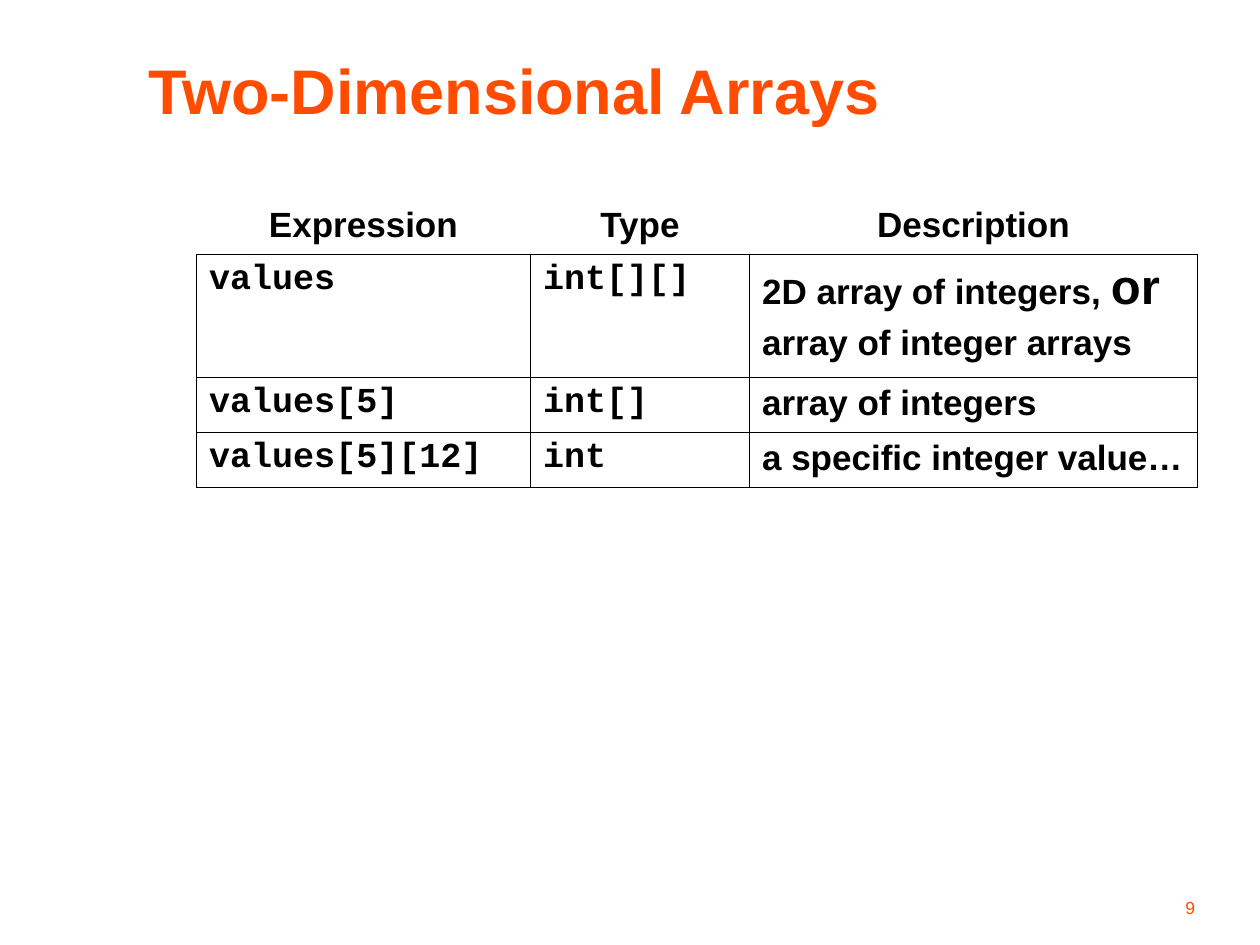
"""Build the slide on two-dimensional array expressions and their types."""
from dataclasses import dataclass

from lxml import etree
from pptx import Presentation
from pptx import util as u
from pptx.dml.color import RGBColor
from pptx.enum import text
from pptx.oxml import ns

ORANGE = RGBColor(0xFF, 0x4C, 0x00)
BLACK = RGBColor(0x00, 0x00, 0x00)
SANS = "Arial"
MONO = "Courier New"
BORDER_WIDTH = 0.45
COLUMN_WIDTHS = (190.8, 125.2, 256)
ROW_HEIGHTS = (31.5, 70.2, 31.5, 31.5)


@dataclass(frozen=True)
class Label:
    """A text box with its place in points and its type style."""
    words: str
    left: float
    top: float
    width: float
    height: float
    size: float
    bold: bool
    align: text.PP_ALIGN
    anchor: text.MSO_ANCHOR


@dataclass(frozen=True)
class ArrayExpression:
    """One table row; each description line is a tuple of (words, size) runs."""
    expression: str
    type_name: str
    description: tuple


LABELS = (
    Label("Two-Dimensional Arrays", 77.8, 23.8, 624.2, 54, 36, True,
          text.PP_ALIGN.LEFT, text.MSO_ANCHOR.MIDDLE),
    Label("9", 540, 498, 150, 30, 10, False,
          text.PP_ALIGN.RIGHT, text.MSO_ANCHOR.BOTTOM),
)
HEADINGS = ("Expression", "Type", "Description")
EXPRESSIONS = (
    ArrayExpression("values", "int[][]", (
        (("2D array of integers, ", 20), ("or", 28)),
        (("array of integer arrays", 20),),
    )),
    ArrayExpression("values[5]", "int[]", ((("array of integers", 20),),)),
    ArrayExpression("values[5][12]", "int", ((("a specific integer value…", 20),),)),
)


def add_label(slide, label: Label) -> None:
    """Draw one orange text box."""
    box = slide.shapes.add_textbox(u.Pt(label.left), u.Pt(label.top),
                                   u.Pt(label.width), u.Pt(label.height))
    frame = box.text_frame
    frame.word_wrap = True
    frame.vertical_anchor = label.anchor
    paragraph = frame.paragraphs[0]
    paragraph.text = label.words
    paragraph.alignment = label.align
    font = paragraph.font
    font.name, font.size, font.bold = SANS, u.Pt(label.size), label.bold
    font.color.rgb = ORANGE


def set_borders(cell, visible_sides: str) -> None:
    """Draw the named sides (from L, R, T, B) and hide the others."""
    properties = cell._tc.get_or_add_tcPr()
    for position, side in enumerate("LRTB"):
        line = etree.Element(ns.qn(f"a:ln{side}"), w=str(u.Pt(BORDER_WIDTH)))
        if side in visible_sides:
            fill = etree.SubElement(line, ns.qn("a:solidFill"))
            etree.SubElement(fill, ns.qn("a:srgbClr"), val=str(BLACK))
        else:
            etree.SubElement(line, ns.qn("a:noFill"))
        properties.insert(position, line)


def fill_cell(cell, lines: tuple, typeface: str, align: text.PP_ALIGN,
              visible_sides: str) -> None:
    """Write lines of (words, size) runs into a bordered cell."""
    cell.fill.background()
    set_borders(cell, visible_sides)
    frame = cell.text_frame
    for index, runs in enumerate(lines):
        paragraph = frame.paragraphs[0] if index == 0 else frame.add_paragraph()
        paragraph.alignment = align
        paragraph.space_before = u.Pt(max(size for _, size in runs) / 4)
        font = paragraph.font
        font.name, font.bold = typeface, True
        font.color.rgb = BLACK
        for words, size in runs:
            run = paragraph.add_run()
            run.text = words
            run.font.size = u.Pt(size)


def add_expression_table(slide) -> None:
    """Draw the headings and one row for each array expression."""
    table = slide.shapes.add_table(
        len(ROW_HEIGHTS), len(COLUMN_WIDTHS), u.Pt(112.3), u.Pt(113.8),
        u.Pt(sum(COLUMN_WIDTHS)), u.Pt(sum(ROW_HEIGHTS))).table
    table.first_row = table.horz_banding = False
    for column, width in zip(table.columns, COLUMN_WIDTHS):
        column.width = u.Pt(width)
    for row, height in zip(table.rows, ROW_HEIGHTS):
        row.height = u.Pt(height)
    for column, heading in enumerate(HEADINGS):
        fill_cell(table.cell(0, column), (((heading, 20),),), SANS,
                  text.PP_ALIGN.CENTER, "B")
    for row, entry in enumerate(EXPRESSIONS, start=1):
        contents = (
            (((entry.expression, 20),),), MONO), (
            (((entry.type_name, 20),),), MONO), (
            entry.description, SANS)
        for column, (lines, typeface) in enumerate(contents):
            fill_cell(table.cell(row, column), lines, typeface,
                      text.PP_ALIGN.LEFT, "LRTB")


def main() -> None:
    """Build and save the presentation."""
    deck = Presentation()
    deck.slide_width, deck.slide_height = u.Pt(720), u.Pt(540)
    slide = deck.slides.add_slide(deck.slide_layouts[6])
    for label in LABELS:
        add_label(slide, label)
    add_expression_table(slide)
    deck.save("out.pptx")


if __name__ == "__main__":
    main()
